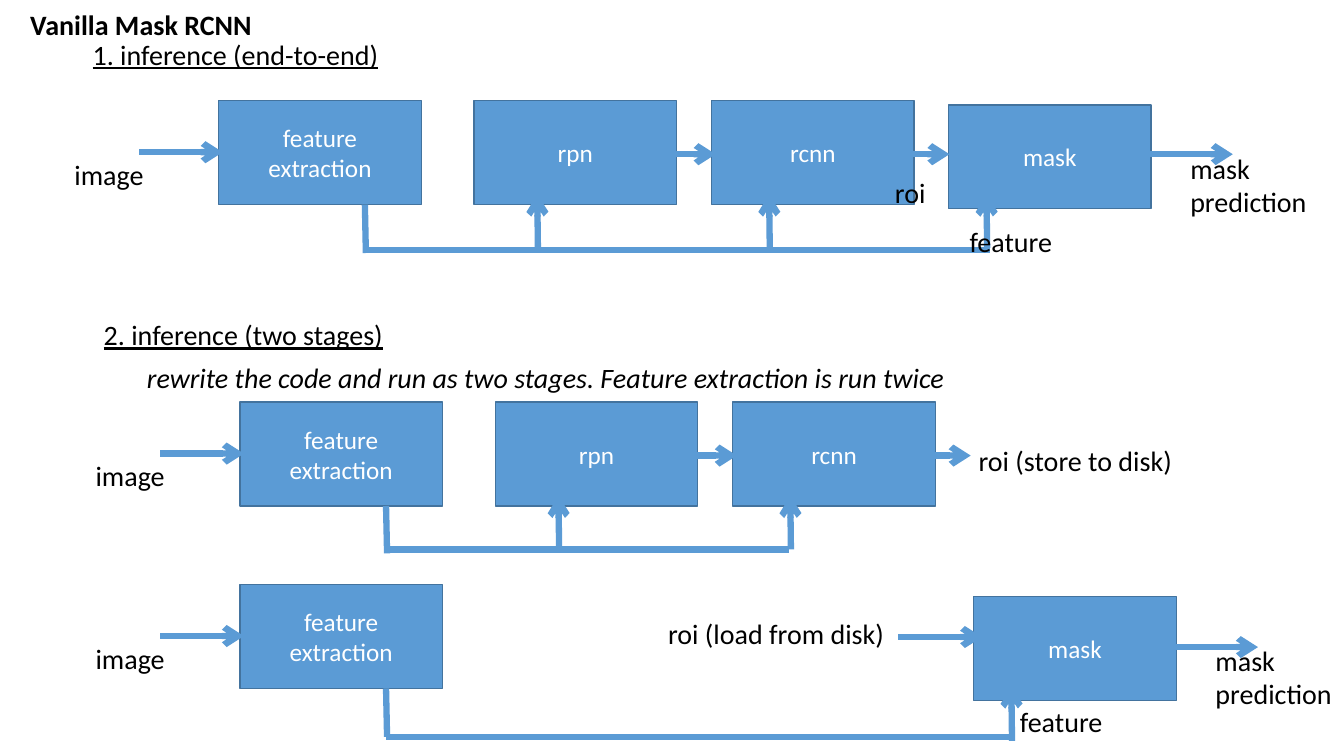
from dataclasses import dataclass

from lxml.etree import SubElement
from pptx import Presentation
from pptx.dml.color import RGBColor
from pptx.enum.shapes import MSO_CONNECTOR as Connector, MSO_SHAPE as Preset
from pptx.enum.text import MSO_ANCHOR as Anchor, MSO_AUTO_SIZE as AutoSize, PP_ALIGN as Align
from pptx.oxml.ns import qn
from pptx.util import Emu, Inches, Pt

COLORS = {"stage": "5B9BD5", "border": "43739E", "light": "FFFFFF", "ink": "000000"}
FONT = "Calibri"
COLUMNS, ROWS = 40, 30
STAGE_WIDTH, STAGE_HEIGHT = 6.03, 4.12
ARROW_LENGTH = 2.49
LABEL_WIDTH, LABEL_HEIGHT = 3.54, 1.8


@dataclass(frozen=True)
class Point:
    """A place in columns and rows."""
    column: float
    row: float

    def shift(self, columns: float, rows: float) -> "Point":
        """Return the place moved by columns and rows."""
        return Point(self.column + columns, self.row + rows)


@dataclass(frozen=True)
class Label:
    """A caption at a place, with its style."""
    text: str
    at: Point
    width: float = LABEL_WIDTH
    height: float = LABEL_HEIGHT
    bold: bool = False
    italic: bool = False
    underline: bool = False


@dataclass(frozen=True)
class Stage:
    """A processing step of the network."""
    text: str
    at: Point


@dataclass(frozen=True)
class Flow:
    """One inference run, with its parts placed from the first stage."""
    origin: Point
    stages: tuple[Stage, ...]
    links: tuple[Point, ...]
    feeds: tuple[float, ...]
    feed_rows: tuple[float, float]
    bus_end: float
    bus_row: float
    stem_row: float
    labels: tuple[Label, ...]


EXTRACTION = Stage("feature extraction", Point(0, 0))
RPN = Stage("rpn", Point(7.6, 0))
RCNN = Stage("rcnn", Point(14.67, 0))
INTAKE = Point(-2.37, 2.04)
RPN_OUT, RCNN_OUT = Point(12.3, 2.12), Point(19.26, 2.12)
IMAGE = Label("image", Point(-4.59, 2.04))

TITLE = Label("Vanilla Mask RCNN", Point(0.6, 0.08), 11.31, bold=True)
HEADINGS = (
    Label("1. inference (end-to-end)", Point(2.46, 1.28), 11.31, underline=True),
    Label("2. inference (two stages)", Point(2.79, 12.4), 11.31, underline=True),
    Label("rewrite the code and run as two stages. Feature extraction is run twice",
          Point(4.08, 14.12), 32.76, italic=True),
)
FLOWS = (
    Flow(Point(6.51, 4), (EXTRACTION, RPN, RCNN, Stage("mask", Point(21.72, 0.16))),
         (INTAKE, RPN_OUT, RCNN_OUT, Point(27.69, 2.12)),
         (9.5, 16.4, 22.87), (5.84, 3.72), 22.95, 5.92, 6.04,
         (IMAGE, Label("roi", Point(19.83, 2.76)), Label("feature", Point(22.05, 4.72)),
          Label("mask prediction", Point(28.62, 1.8), 4.74, 3.12))),
    Flow(Point(7.14, 15.96), (EXTRACTION, RPN, RCNN), (INTAKE, RPN_OUT, RCNN_OUT),
         (9.5, 16.4), (5.84, 3.72), 16.35, 5.84, 6,
         (IMAGE, Label("roi (store to disk)", Point(21.69, 1.44), 7.83))),
    Flow(Point(7.14, 23.2), (EXTRACTION, Stage("mask", Point(21.84, 0.48))),
         (INTAKE, Point(19.6, 2.08), Point(27.81, 2.48)),
         (22.98,), (6.2, 4.04), 22.95, 6.04, 6.04,
         (IMAGE, Label("roi (load from disk)", Point(12.45, 1.08), 7.83),
          Label("feature", Point(22.92, 4.56)),
          Label("mask prediction", Point(28.74, 2.12), 4.74, 3.12))),
)

deck = Presentation()
deck.slide_width, deck.slide_height = Inches(13.33), Inches(7.5)
slide = deck.slides.add_slide(deck.slide_layouts[5])


def across(columns: float) -> Emu:
    """Turn columns into a length."""
    return Emu(round(deck.slide_width * columns / COLUMNS))


def down(rows: float) -> Emu:
    """Turn rows into a length."""
    return Emu(round(deck.slide_height * rows / ROWS))


def color(part: str) -> RGBColor:
    """Look up the colour of a part."""
    return RGBColor.from_string(COLORS[part])


def write(caption, text: str, size: int, part: str, align: Align, anchor: Anchor):
    """Fill a caption with one paragraph and return its font."""
    frame = caption.text_frame
    frame.text = text
    frame.word_wrap = True
    frame.auto_size = AutoSize.NONE
    frame.vertical_anchor = anchor
    paragraph = frame.paragraphs[0]
    paragraph.alignment = align
    font = paragraph.font
    font.name, font.size = FONT, Pt(size)
    font.color.rgb = color(part)
    return font


def draw_label(label: Label, origin: Point = Point(0, 0), caption=None) -> None:
    """Draw a label in the given placeholder or in a new text box."""
    at = origin.shift(label.at.column, label.at.row)
    area = across(at.column), down(at.row), across(label.width), down(label.height)
    if caption is None:
        caption = slide.shapes.add_textbox(*area)
    else:
        caption.left, caption.top, caption.width, caption.height = area
    font = write(caption, label.text, 20, "ink", Align.LEFT, Anchor.TOP)
    font.bold, font.italic, font.underline = label.bold, label.italic, label.underline


def draw_stage(stage: Stage, origin: Point) -> None:
    """Draw one stage as a filled rectangle."""
    at = origin.shift(stage.at.column, stage.at.row)
    block = slide.shapes.add_shape(Preset.RECTANGLE, across(at.column), down(at.row),
                                   across(STAGE_WIDTH), down(STAGE_HEIGHT))
    block.shadow.inherit = False
    block.fill.solid()
    block.fill.fore_color.rgb = color("stage")
    block.line.color.rgb = color("border")
    block.line.width = Pt(1)
    write(block, stage.text, 18, "light", Align.CENTER, Anchor.MIDDLE)


def draw_line(start: Point, end: Point, arrow: bool = False) -> None:
    """Draw a thick line, with an arrowhead at its end if asked."""
    path_line = slide.shapes.add_connector(Connector.STRAIGHT, across(start.column),
                                           down(start.row), across(end.column), down(end.row))
    path_line.line.color.rgb = color("stage")
    path_line.line.width = Pt(4.5)
    properties = path_line._element.spPr
    if arrow:
        SubElement(properties.find(qn("a:ln")), qn("a:tailEnd"), type="arrow")
    SubElement(properties, qn("a:effectLst"))


def draw_flow(flow: Flow) -> None:
    """Draw the stages, lines and labels of one run."""
    place = flow.origin.shift
    for stage in flow.stages:
        draw_stage(stage, flow.origin)
    for link in flow.links:
        start = place(link.column, link.row)
        draw_line(start, start.shift(ARROW_LENGTH, 0), arrow=True)
    feed_start, feed_end = flow.feed_rows
    for feed in flow.feeds:
        draw_line(place(feed, feed_start), place(feed - 0.02, feed_end), arrow=True)
    draw_line(place(4.35, flow.bus_row), place(flow.bus_end, flow.bus_row))
    draw_line(place(4.38, flow.stem_row), place(4.35, STAGE_HEIGHT))
    for label in flow.labels:
        draw_label(label, flow.origin)


draw_label(TITLE, caption=slide.shapes.title)
for heading in HEADINGS:
    draw_label(heading)
for run in FLOWS:
    draw_flow(run)
deck.save("out.pptx")
